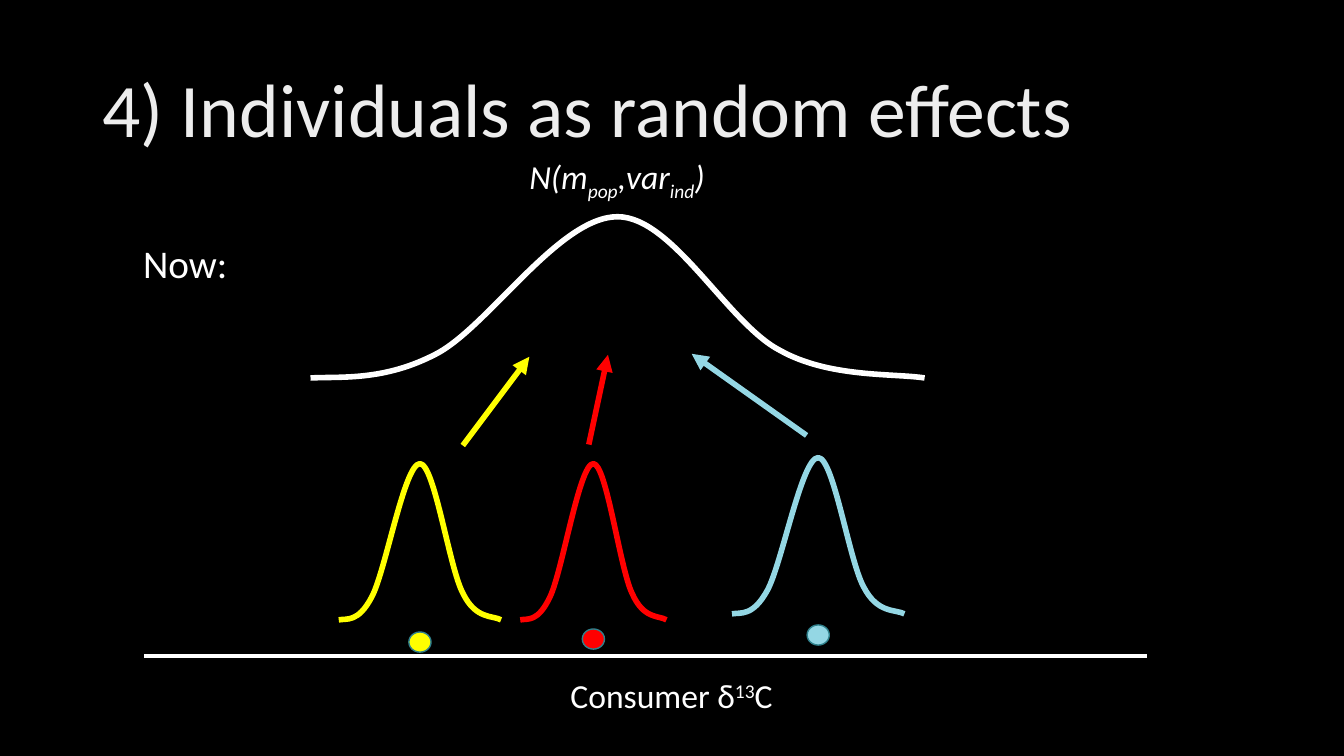
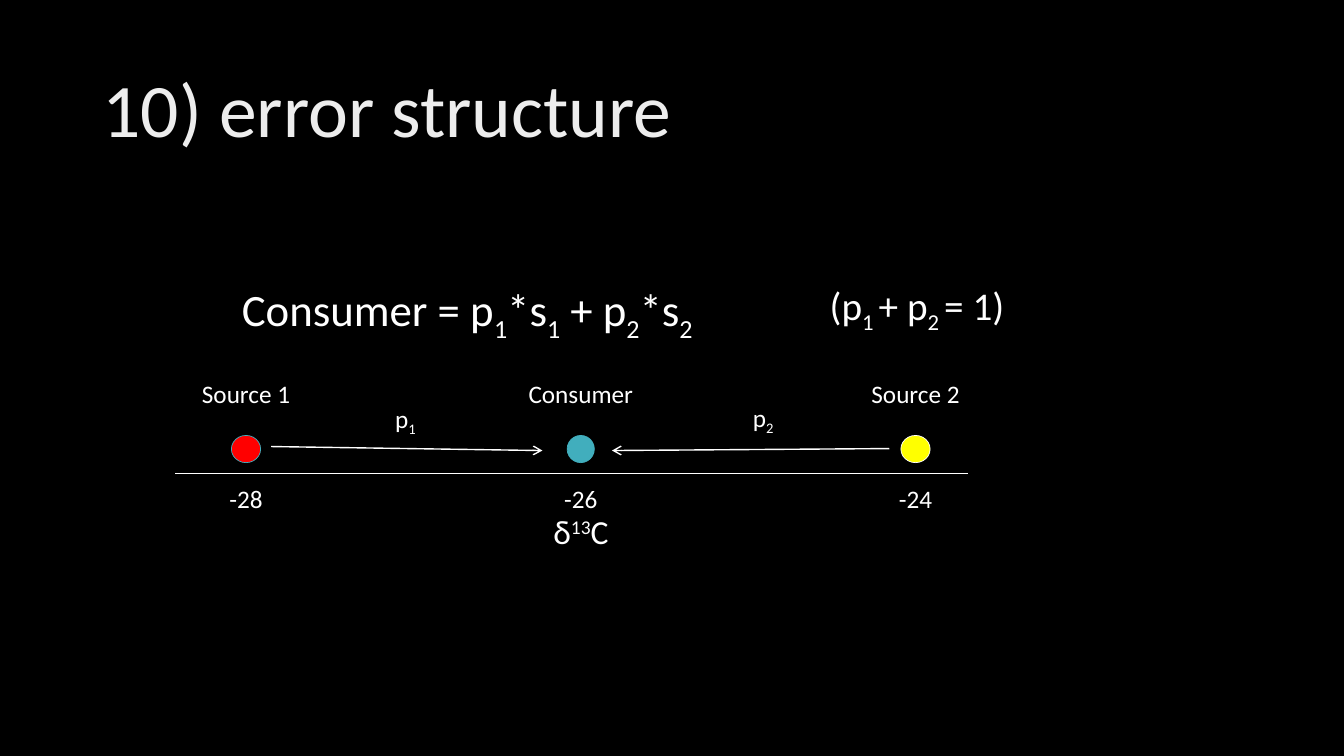
from lxml.etree import SubElement
from pptx import Presentation
from pptx.dml.color import RGBColor
from pptx.enum.shapes import MSO_CONNECTOR, MSO_SHAPE
from pptx.enum.text import MSO_ANCHOR, PP_ALIGN
from pptx.oxml.ns import qn
from pptx.util import Pt

EMU_PER_PX = 9144
BASELINES = {"_": "-25000", "^": "30000"}
BELL_PERCENT = [
    (0, 100), (5, 99), (12, 102), (20.5, 85), (29, 68), (40.5, 0), (50, 0),
    (59, 0), (68, 66.5), (76.5, 83), (84.5, 100), (95, 97), (100, 100),
]


def px(length):
    return round(length * EMU_PER_PX)


def colour(code):
    return RGBColor.from_string(code)


def write(frame, text, size=18, ink="FFFFFF", italic=False, align=PP_ALIGN.LEFT,
          spacing=1.0):
    para = frame.paragraphs[0]
    para.alignment = align
    para.line_spacing = spacing
    for piece in text.split("|"):
        span = para.add_run()
        baseline = BASELINES.get(piece[:1])
        span.text = piece[1:] if baseline else piece
        font = span.font
        font.name = "Calibri"
        font.size = Pt(size)
        font.italic = italic
        font.color.rgb = colour(ink)
        if baseline:
            span._r.get_or_add_rPr().set("baseline", baseline)


class Painter:
    white = "FFFFFF"
    red = "FF0000"
    yellow = "FFFF00"
    sky = "94D7E4"
    teal = "41AEBD"
    dark_teal = "30818C"
    black = "000000"
    title_grey = "EDEDED"

    def __init__(self):
        self.deck = Presentation()
        self.deck.slide_width = px(1333)
        self.deck.slide_height = px(750)
        fill = self.deck.slide_master.background.fill
        fill.solid()
        fill.fore_color.rgb = colour(self.black)
        self.slide = None

    def page(self, title):
        self.slide = self.deck.slides.add_slide(self.deck.slide_layouts[6])
        self.text(title, 92, 40, 1150, 145, anchor=MSO_ANCHOR.MIDDLE,
                  size=54, ink=self.title_grey, spacing=0.9)

    def text(self, text, left, top, width, height, anchor=MSO_ANCHOR.TOP, **style):
        box = self.slide.shapes.add_textbox(px(left), px(top), px(width), px(height))
        frame = box.text_frame
        frame.word_wrap = True
        frame.vertical_anchor = anchor
        write(frame, text, **style)

    def centred(self, text, centre, top, width, height, **style):
        self.text(text, centre - width / 2, top, width, height,
                  align=PP_ALIGN.CENTER, **style)

    def outline(self, shape, ink, weight):
        shape.line.color.rgb = colour(ink)
        shape.line.width = Pt(weight)

    def dot(self, centre, top, width, height, fill, ink, weight):
        shape = self.slide.shapes.add_shape(
            MSO_SHAPE.OVAL, px(centre - width / 2), px(top), px(width), px(height))
        shape.shadow.inherit = False
        shape.fill.solid()
        shape.fill.fore_color.rgb = colour(fill)
        self.outline(shape, ink, weight)

    def line(self, start, end, ink, weight, head=None):
        connector = self.slide.shapes.add_connector(
            MSO_CONNECTOR.STRAIGHT, *map(px, start + end))
        self.outline(connector, ink, weight)
        properties = connector._element.spPr
        if head:
            SubElement(properties.get_or_add_ln(), qn("a:tailEnd"), type=head)
        SubElement(properties, qn("a:effectLst"))

    def bell(self, left, top, width, height, ink):
        points = [(px(left + width * x / 100), px(top + height * y / 100))
                  for x, y in BELL_PERCENT]
        builder = self.slide.shapes.build_freeform(*points[0])
        builder.add_line_segments(points[1:], close=False)
        shape = builder.convert_to_shape()
        shape.shadow.inherit = False
        shape.fill.background()
        self.outline(shape, ink, 4)
        outline = next(shape._element.iter(qn("a:path")))
        segments = outline.findall(qn("a:lnTo"))
        for first in range(0, len(segments), 3):
            curve = SubElement(outline, qn("a:cubicBezTo"))
            for segment in segments[first:first + 3]:
                curve.append(segment[0])
                outline.remove(segment)


def random_effects(painter):
    painter.page("4) Individuals as random effects")
    individuals = [
        (painter.yellow, 336, 460, 161, 627, (459, 442), (525, 354)),
        (painter.red, 516, 460, 145, 624, (584, 441), (603, 352)),
        (painter.sky, 726, 454, 171, 620, (800, 432), (686, 351)),
    ]
    for ink, left, top, width, dot_top, start, end in individuals:
        painter.bell(left, top, width, 155, ink)
        painter.dot(left + width / 2, dot_top, 22, 20, ink, painter.dark_teal, 1)
        painter.line(start, end, ink, 4, head="triangle")
    painter.bell(308, 215, 609, 160, painter.white)
    painter.line((143, 651), (1138, 651), painter.white, 3)
    painter.centred("N(m|_pop|,var|_ind|)", 612, 150, 280, 50, size=24, italic=True)
    painter.centred("Consumer δ|^13|C", 666, 665, 239, 50, size=24)
    painter.text("Now:", 132, 233, 218, 57, size=28)


def error_structure(painter):
    painter.page("10) error structure")
    painter.text("Consumer = p|_1|*s|_1| + p|_2|*s|_2", 230, 275, 591, 64, size=32)
    painter.text("(p|_1 |+ p|_2 |= 1)", 813, 274, 315, 57, size=28)
    painter.line((174, 470), (960, 470), painter.white, 1)
    samples = [
        ("Source 1", "-28", 29, painter.red, painter.teal),
        ("Consumer", "-26", 27, painter.teal, painter.teal),
        ("Source 2", "-24", 29, painter.yellow, painter.white),
    ]
    for index, (name, value, width, fill, ink) in enumerate(samples):
        centre = 244 + 332 * index
        painter.dot(centre, 432, width, 27, fill, ink, 0.5)
        painter.centred(name, centre, 370, 132, 40)
        painter.centred(value, centre, 475, 59, 40)
    painter.line((269, 443), (538, 447), painter.white, 1, head="arrow")
    painter.line((882, 445), (607, 447), painter.white, 1, head="arrow")
    painter.text("p|_1", 382, 395, 94, 40)
    painter.text("p|_2", 737, 394, 94, 40)
    painter.text("δ|^13|C", 539, 502, 80, 50, size=24)


def main():
    painter = Painter()
    random_effects(painter)
    error_structure(painter)
    painter.deck.save("out.pptx")


if __name__ == "__main__":
    main()
